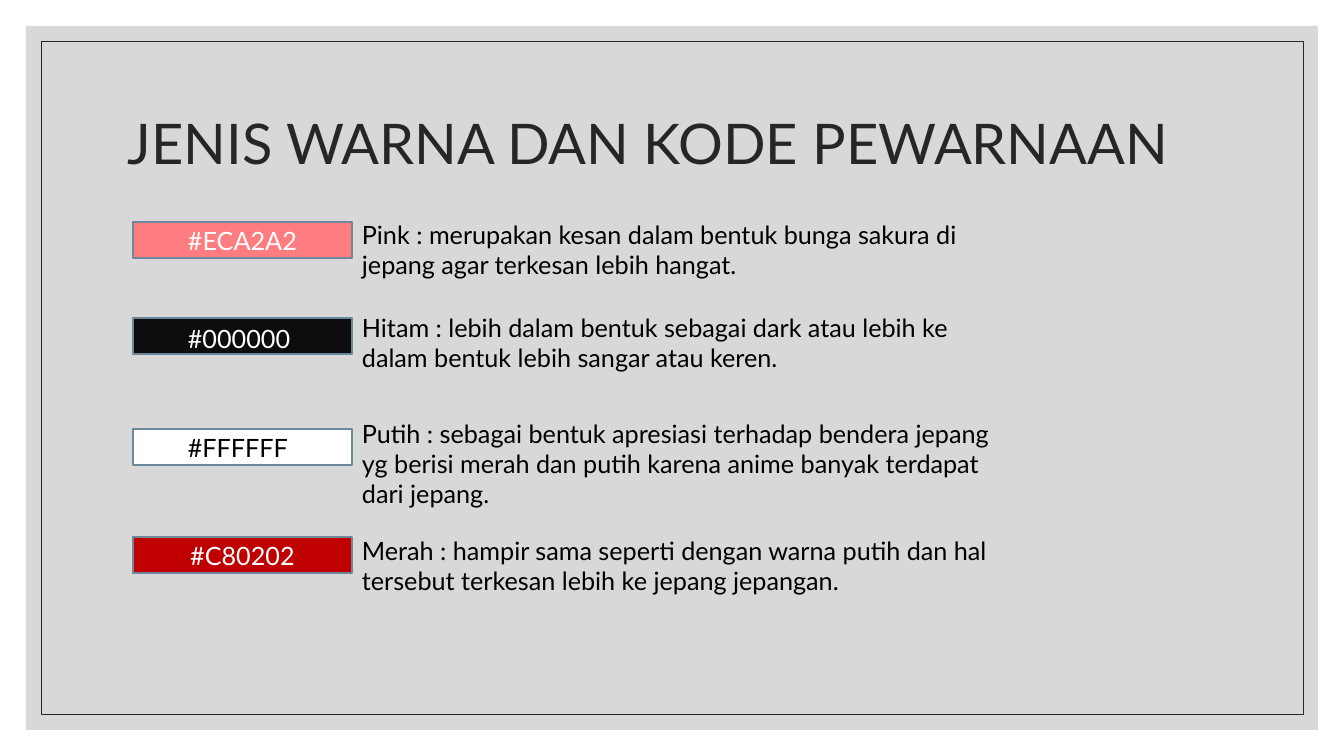
from lxml import etree
from pptx import Presentation
from pptx.dml.color import RGBColor
from pptx.enum.shapes import MSO_SHAPE
from pptx.enum.text import MSO_ANCHOR, PP_ALIGN
from pptx.oxml.ns import qn
from pptx.util import Emu, Pt

RECTANGLE = MSO_SHAPE.RECTANGLE
TOP, MIDDLE = MSO_ANCHOR.TOP, MSO_ANCHOR.MIDDLE
LEFT, CENTER = PP_ALIGN.LEFT, PP_ALIGN.CENTER
PIXELS_PER_INCH = 100.8
WHITE, BLACK, CHARCOAL, SLATE = "FFFFFF", "000000", "262626", "6D879B"
SWATCH_LEFT, SWATCH_WIDTH, SWATCH_HEIGHT = 133, 219, 36
LABEL_LEFT, LABEL_WIDTH, LABEL_HEIGHT = 178, 142, 40
DESCRIPTION_LEFT, DESCRIPTION_WIDTH = 352, 672

# Swatch top, fill, code, code colour, label top (None: inside swatch), description top, height, text
COLOURS = [
    (222, "FF7C80", "#ECA2A2", WHITE, None, 214, 72,
     "Pink : merupakan kesan dalam bentuk bunga sakura di jepang agar terkesan lebih hangat."),
    (318, "0D0D0D", "#000000", WHITE, 318, 307, 72,
     "Hitam : lebih dalam bentuk sebagai dark atau lebih ke dalam bentuk lebih sangar atau keren."),
    (429, "FFFFFF", "#FFFFFF", BLACK, 427, 413, 102,
     "Putih : sebagai bentuk apresiasi terhadap bendera jepang yg berisi merah dan putih "
     "karena anime banyak terdapat dari jepang."),
    (537, "C00000", "#C80202", WHITE, None, 530, 72,
     "Merah : hampir sama seperti dengan warna putih dan hal tersebut terkesan lebih ke "
     "jepang jepangan."),
]


def px(length):
    return Emu(round(length * 914400 / PIXELS_PER_INCH))


def colour(value):
    return RGBColor.from_string(value)


def write(shape, text, size=18, color=BLACK, align=LEFT, anchor=TOP, spacing=None):
    frame = shape.text_frame
    frame.word_wrap = True
    frame.vertical_anchor = anchor
    para = frame.paragraphs[0]
    para.alignment = align
    if spacing:
        para.line_spacing = spacing
    span = para.add_run()
    span.text = text
    span.font.name = "Lato"
    span.font.size = Pt(size)
    span.font.color.rgb = colour(color)


class Painter:
    """Draws styled elements on the current slide."""

    def __init__(self, page):
        self.page = page

    def box(self, left, top, width, height, fill=None, line=None, weight=1, opacity=100):
        shape = self.page.shapes.add_shape(RECTANGLE, px(left), px(top), px(width), px(height))
        shape.shadow.inherit = False
        if fill:
            shape.fill.solid()
            shape.fill.fore_color.rgb = colour(fill)
        else:
            shape.fill.background()
        if opacity < 100:
            tint = shape.fill._xPr.find(qn("a:solidFill"))[0]
            etree.SubElement(tint, qn("a:alpha"), val=str(opacity * 1000))
        if line:
            shape.line.color.rgb = colour(line)
            shape.line.width = Pt(weight)
        else:
            shape.line.fill.background()
        return shape

    def text(self, left, top, width, height, text, **style):
        shape = self.page.shapes.add_textbox(px(left), px(top), px(width), px(height))
        write(shape, text, **style)


def main():
    deck = Presentation()
    deck.slide_width, deck.slide_height = px(1344), px(756)
    painter = Painter(deck.slides.add_slide(deck.slide_layouts[6]))

    painter.box(26, 26, 1292, 704, fill="BFBFBF", opacity=60)
    painter.box(41, 41, 1262, 673, line=CHARCOAL, weight=0.5)
    painter.text(118, 71, 1109, 151, "JENIS WARNA DAN KODE PEWARNAAN",
                 size=40, color=CHARCOAL, anchor=MIDDLE, spacing=0.9)

    for top, fill, code, ink, label_top, description_top, height, description in COLOURS:
        swatch = painter.box(SWATCH_LEFT, top, SWATCH_WIDTH, SWATCH_HEIGHT, fill=fill, line=SLATE)
        if label_top is None:
            write(swatch, code, color=ink, align=CENTER, anchor=MIDDLE)
        else:
            painter.text(LABEL_LEFT, label_top, LABEL_WIDTH, LABEL_HEIGHT, code, color=ink)
        painter.text(DESCRIPTION_LEFT, description_top, DESCRIPTION_WIDTH, height, description)

    deck.save("out.pptx")


if __name__ == "__main__":
    main()
